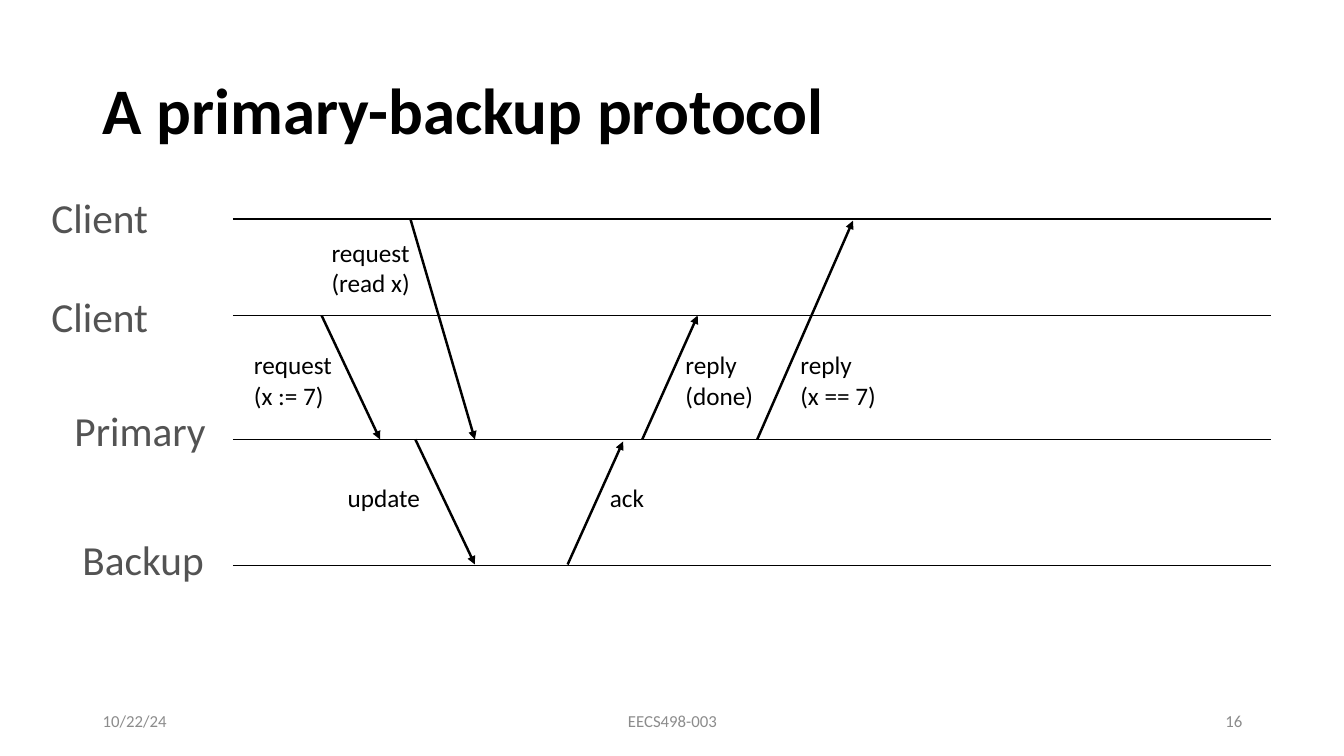
from dataclasses import dataclass

import pptx
import pptx.dml.color
import pptx.enum.shapes
import pptx.enum.text
import pptx.oxml.xmlchemy
import pptx.shapes.connector
import pptx.slide
import pptx.text.text
import pptx.util

Inches = pptx.util.Inches
Align = pptx.enum.text.PP_ALIGN
Anchor = pptx.enum.text.MSO_ANCHOR

COLORS = {"ink": "000000", "role": "535353", "foot": "8C8C8C"}
FONT = "Calibri"
LINE_LEFT, LINE_RIGHT = 2.31, 12.61
FOOT_TOP, FOOT_HIGH = 6.95, 0.4


@dataclass
class Role:
    """One timeline: its name box and the height of its line."""
    name: str
    left: float
    top: float
    width: float
    line: float


@dataclass
class Message:
    """An arrow between two timelines, with its label."""
    text: str
    start: tuple[float, float]
    end: tuple[float, float]
    left: float
    top: float


@dataclass
class Footer:
    text: str
    left: float
    width: float
    align: Align


ROLES = [
    Role("Client", 0.31, 1.86, 1.36, 2.17),
    Role("Client", 0.31, 2.84, 1.36, 3.13),
    Role("Primary", 0.62, 3.98, 1.54, 4.36),
    Role("Backup", 0.65, 5.26, 1.54, 5.61),
]
READER, WRITER, PRIMARY, BACKUP = (role.line for role in ROLES)

MESSAGES = [
    Message("request\n(read x)", (4.07, READER), (4.71, PRIMARY), 3.19, 2.3),
    Message("request\n(x := 7)", (3.19, WRITER), (3.77, PRIMARY), 2.42, 3.42),
    Message("update", (4.12, PRIMARY), (4.71, BACKUP - 0.01), 3.35, 4.74),
    Message("ack", (5.63, BACKUP - 0.01), (6.18, PRIMARY + 0.02), 5.95, 4.74),
    Message("reply\n(done)", (6.37, PRIMARY), (6.92, WRITER), 6.7, 3.42),
    Message("reply\n(x == 7)", (7.51, PRIMARY), (8.46, READER + 0.02), 7.84, 3.42),
]

FOOTERS = [
    Footer("10/22/24", 0.92, 3, Align.LEFT),
    Footer("EECS498-003", 4.42, 4.5, Align.CENTER),
    Footer("16", 9.42, 3, Align.RIGHT),
]


def write(frame: pptx.text.text.TextFrame, text: str, *, size: float,
          color: str = "ink", bold: bool = False, align: Align = Align.LEFT,
          anchor: Anchor = Anchor.MIDDLE, inset: float | None = None,
          spacing: float | None = None) -> None:
    """Fill a frame with one paragraph for each line of text."""
    frame.text = text
    frame.word_wrap = True
    frame.auto_size = pptx.enum.text.MSO_AUTO_SIZE.NONE
    frame.vertical_anchor = anchor
    if inset is not None:
        frame.margin_left = frame.margin_right = Inches(inset)
        frame.margin_top = frame.margin_bottom = Inches(inset)
    for para in frame.paragraphs:
        para.alignment = align
        if spacing is not None:
            para.line_spacing = spacing
        for run in para.runs:
            run.font.name = FONT
            run.font.size = pptx.util.Pt(size)
            run.font.bold = bold
            run.font.color.rgb = pptx.dml.color.RGBColor.from_string(COLORS[color])


def add_box(slide: pptx.slide.Slide, left: float, top: float, width: float,
            height: float) -> pptx.text.text.TextFrame:
    return slide.shapes.add_textbox(Inches(left), Inches(top), Inches(width),
                                    Inches(height)).text_frame


def add_line(slide: pptx.slide.Slide, start: tuple[float, float],
             end: tuple[float, float], width: float) -> pptx.shapes.connector.Connector:
    line = slide.shapes.add_connector(
        pptx.enum.shapes.MSO_CONNECTOR.STRAIGHT,
        *(Inches(value) for value in (*start, *end)))
    line.line.color.rgb = pptx.dml.color.RGBColor.from_string(COLORS["ink"])
    line.line.width = pptx.util.Pt(width)
    line._element.spPr.append(pptx.oxml.xmlchemy.OxmlElement("a:effectLst"))
    return line


def add_title(slide: pptx.slide.Slide) -> None:
    title = slide.shapes.title
    title.left, title.top = Inches(0.92), Inches(0.4)
    title.width, title.height = Inches(11.5), Inches(1.45)
    write(title.text_frame, "A primary-backup protocol", size=46.4, bold=True,
          spacing=0.9)


def add_role(slide: pptx.slide.Slide, role: Role) -> None:
    add_line(slide, (LINE_LEFT, role.line), (LINE_RIGHT, role.line), 1.25)
    write(add_box(slide, role.left, role.top, role.width, 0.58), role.name,
          size=29.5, color="role", align=Align.CENTER, inset=0.04)


def add_message(slide: pptx.slide.Slide, message: Message) -> None:
    arrow = add_line(slide, message.start, message.end, 1.75)
    head = pptx.oxml.xmlchemy.OxmlElement("a:tailEnd")
    head.set("type", "triangle")
    arrow.line._get_or_add_ln().append(head)
    height = 0.71 if "\n" in message.text else 0.4
    write(add_box(slide, message.left, message.top, 1.06, height), message.text,
          size=18, anchor=Anchor.TOP)


def add_footer(slide: pptx.slide.Slide, footer: Footer) -> None:
    write(add_box(slide, footer.left, FOOT_TOP, footer.width, FOOT_HIGH),
          footer.text, size=12, color="foot", align=footer.align)


def main() -> None:
    deck = pptx.Presentation()
    deck.slide_width, deck.slide_height = Inches(13.33), Inches(7.5)
    slide = deck.slides.add_slide(deck.slide_layouts.get_by_name("Title Only"))
    add_title(slide)
    for role in ROLES:
        add_role(slide, role)
    for message in MESSAGES:
        add_message(slide, message)
    for footer in FOOTERS:
        add_footer(slide, footer)
    deck.save("out.pptx")


if __name__ == "__main__":
    main()
